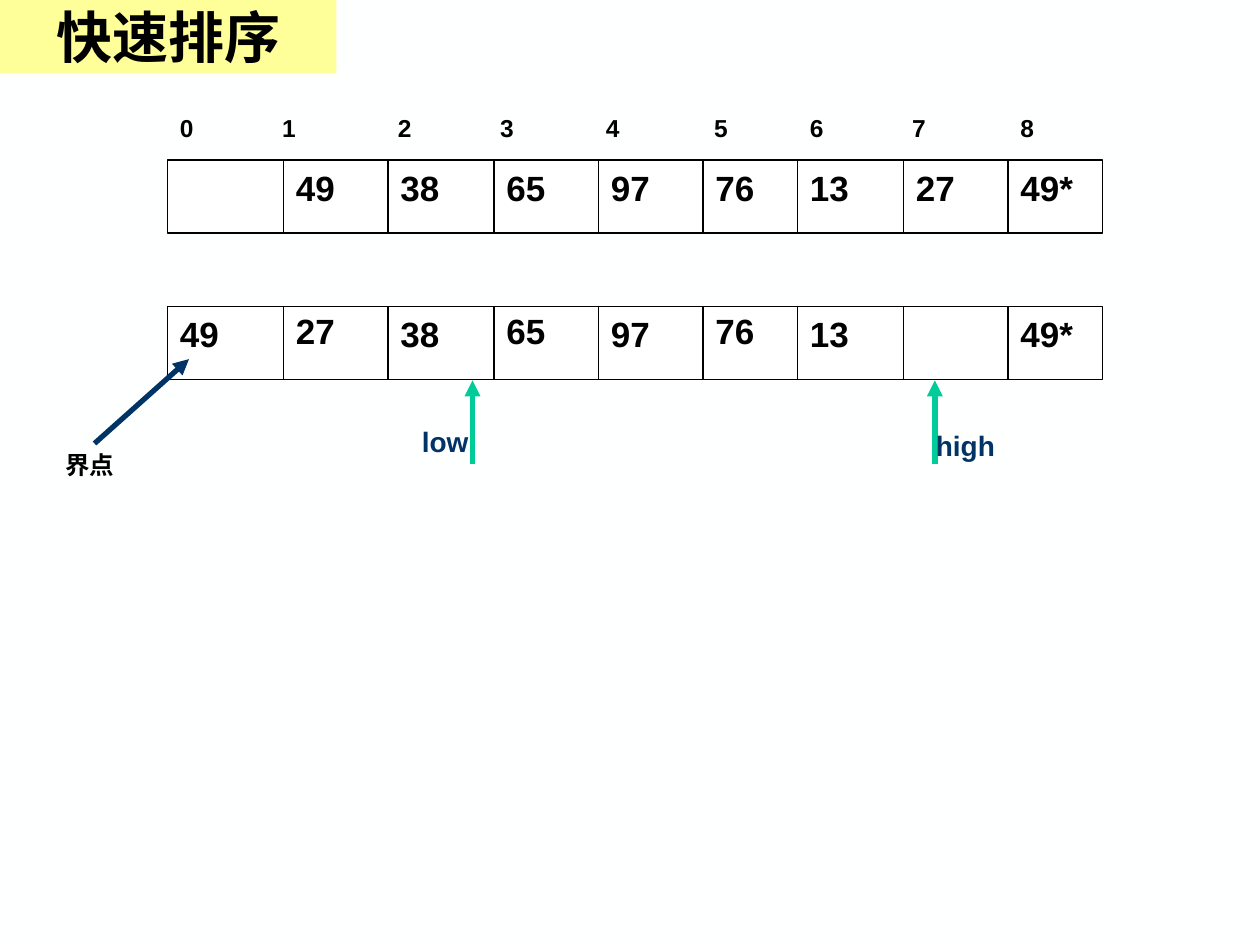
"""Build a slide showing one step of quicksort on an array."""
from dataclasses import dataclass

from lxml import etree
from pptx import Presentation
from pptx.dml.color import RGBColor
from pptx.enum import shapes as es, text as et
from pptx.oxml import ns
from pptx.util import Inches, Pt

BLACK = RGBColor(0x00, 0x00, 0x00)
WHITE = RGBColor(0xFF, 0xFF, 0xFF)
PAPER = RGBColor(0xFE, 0xFF, 0xFF)
NAVY = RGBColor(0x00, 0x33, 0x66)
GREEN = RGBColor(0x00, 0xCC, 0x99)
YELLOW = RGBColor(0xFF, 0xFF, 0x99)

EDGES = (1.33, 2.25, 3.08, 3.92, 4.75, 5.58, 6.33, 7.17, 8)
WIDTH = 7.42
HIGH = 0.58
TABS = (0.81, 1.73, 2.54, 3.38, 4.24, 5, 5.81, 6.67)


@dataclass
class Row:
    top: float
    items: tuple[str, ...]
    raised: tuple[int, ...] = ()


@dataclass
class Mark:
    name: str
    x: float
    left: float
    top: float


ROWS = (
    Row(2.43, ("49", "27", "38", "65", "97", "76", "13", "", "49*"), (1, 3, 5)),
    Row(1.27, ("", "49", "38", "65", "97", "76", "13", "27", "49*")),
)
MARKS = (Mark("high", 7.42, 7.33, 3.35), Mark("low", 3.75, 3.25, 3.32))


def style(para, size: float, color: RGBColor = BLACK, face: str = "Arial") -> None:
    font = para.font
    font.name, font.size, font.bold = face, Pt(size), True
    font.color.rgb = color


def label(tree, words: str, left: float, top: float, width: float, high: float,
          size: float, color: RGBColor = BLACK, tabs: tuple[float, ...] = ()) -> None:
    box = tree.add_textbox(Inches(left), Inches(top), Inches(width), Inches(high))
    frame = box.text_frame
    frame.word_wrap = True
    frame.auto_size = et.MSO_AUTO_SIZE.SHAPE_TO_FIT_TEXT
    para = frame.paragraphs[0]
    para.text = words
    if tabs:
        stops = etree.SubElement(para._p.get_or_add_pPr(), ns.qn("a:tabLst"))
        for pos in tabs:
            etree.SubElement(stops, ns.qn("a:tab"), pos=str(Inches(pos)), algn="l")
    style(para, size, color)


def line(tree, x1: float, y1: float, x2: float, y2: float,
         color: RGBColor = BLACK, width: float = 0.75, arrow: bool = False) -> None:
    link = tree.add_connector(es.MSO_CONNECTOR.STRAIGHT, Inches(x1), Inches(y1),
                              Inches(x2), Inches(y2))
    link.line.color.rgb = color
    link.line.width = Pt(width)
    if arrow:
        etree.SubElement(link.line._get_or_add_ln(), ns.qn("a:tailEnd"), type="triangle")
    etree.SubElement(link._element.spPr, ns.qn("a:effectLst"))


def grid(tree, row: Row) -> None:
    group = tree.add_group_shape().shapes
    frame = group.add_shape(es.MSO_SHAPE.RECTANGLE, Inches(EDGES[0]), Inches(row.top),
                            Inches(WIDTH), Inches(HIGH))
    frame.shadow.inherit = False
    frame.fill.solid()
    frame.fill.fore_color.rgb = WHITE
    frame.line.color.rgb = BLACK
    frame.line.width = Pt(0.75)
    for x in EDGES[1:]:
        line(group, x, row.top, x, row.top + HIGH)


def fill(tree, row: Row) -> None:
    for i, (x, item) in enumerate(zip(EDGES, row.items)):
        if item:
            top = row.top - (0.02 if i in row.raised else 0)
            label(tree, item, x, top, 0.67, 0.44, 20)


def point(tree, mark: Mark) -> None:
    group = tree.add_group_shape().shapes
    line(group, mark.x, 3.68, mark.x, 3.02, GREEN, 3, True)
    label(group, mark.name, mark.left, mark.top, 0.92, 0.37, 16, NAVY)


def head(title, words: str) -> None:
    title.left, title.top = Inches(0), Inches(0)
    title.width, title.height = Inches(2.67), Inches(HIGH)
    title.fill.solid()
    title.fill.fore_color.rgb = YELLOW
    frame = title.text_frame
    frame.text = words
    frame.auto_size = et.MSO_AUTO_SIZE.NONE
    frame.vertical_anchor = et.MSO_ANCHOR.MIDDLE
    para = frame.paragraphs[0]
    para.alignment = et.PP_ALIGN.CENTER
    style(para, 32, face="Times New Roman")


def main() -> None:
    deck = Presentation()
    deck.slide_width, deck.slide_height = Inches(10), Inches(7.5)
    slide = deck.slides.add_slide(deck.slide_layouts[5])
    slide.background.fill.solid()
    slide.background.fill.fore_color.rgb = PAPER
    tree = slide.shapes
    head(tree.title, "快速排序")
    for row in ROWS:
        grid(tree, row)
        fill(tree, row)
    label(tree, "\t".join(map(str, range(len(EDGES)))), EDGES[0], 0.85,
          WIDTH, 0.34, 14, tabs=TABS)
    for mark in MARKS:
        point(tree, mark)
    label(tree, "界点", 0.42, 3.52, 0.83, 0.34, 14)
    line(tree, 0.75, 3.52, 1.5, 2.85, NAVY, 3, True)
    deck.save("out.pptx")


if __name__ == "__main__":
    main()
